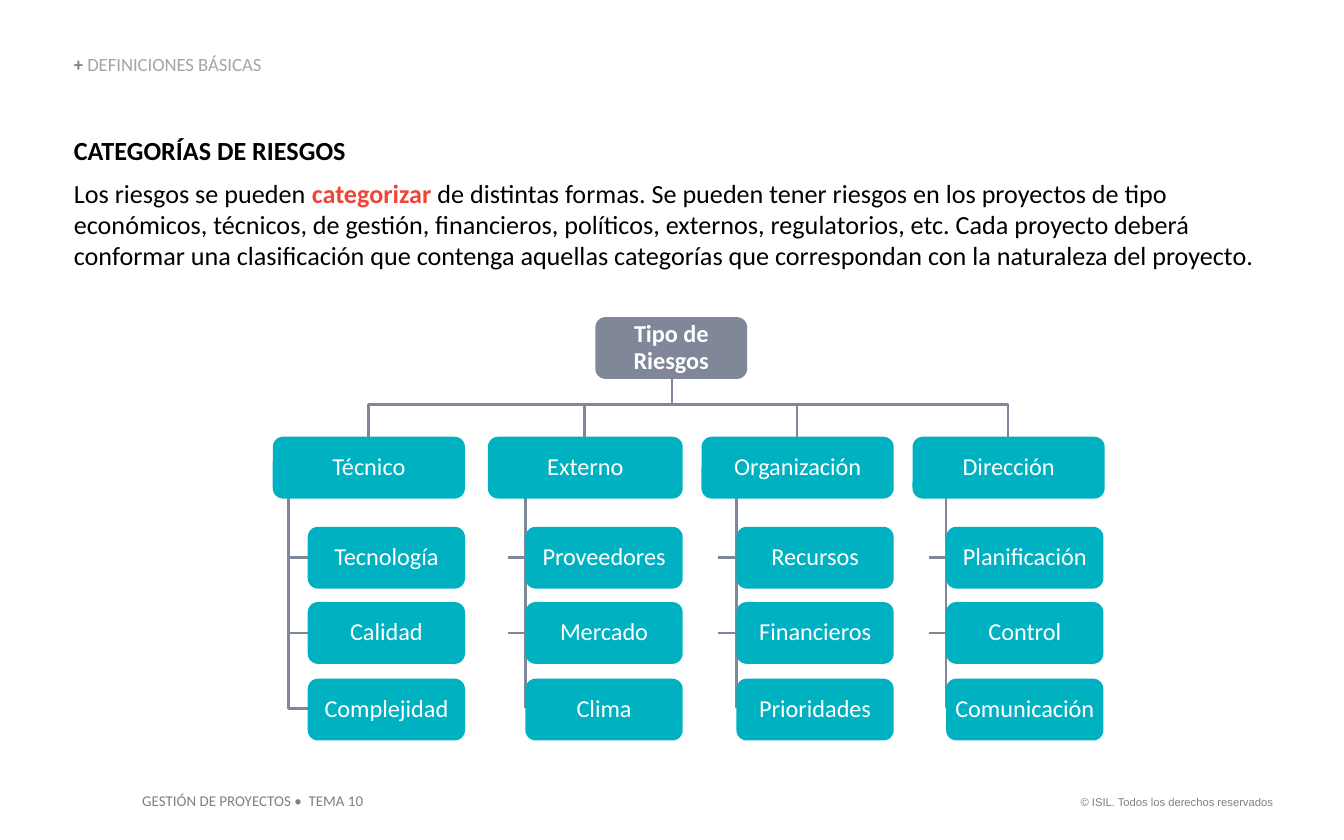
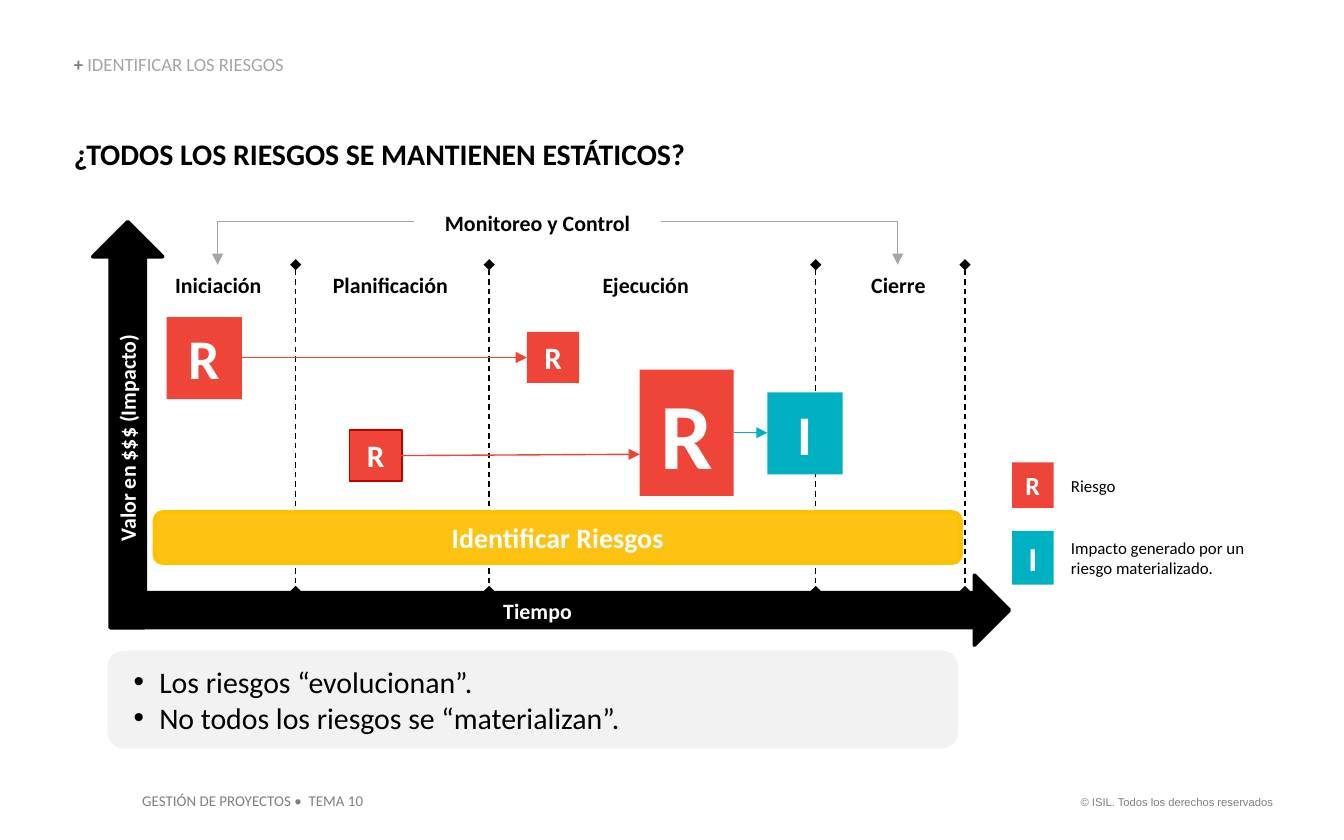
from lxml import etree
from pptx import Presentation
from pptx.dml.color import RGBColor
from pptx.enum.dml import MSO_LINE
from pptx.enum.shapes import MSO_CONNECTOR, MSO_SHAPE
from pptx.enum.text import MSO_ANCHOR, MSO_AUTO_SIZE, PP_ALIGN
from pptx.oxml.ns import qn
from pptx.util import Pt

PX = 9144  # 100 px to the inch
LEFT, CENTER, RIGHT, JUSTIFY = PP_ALIGN.LEFT, PP_ALIGN.CENTER, PP_ALIGN.RIGHT, PP_ALIGN.JUSTIFY
TOP, MIDDLE, BOTTOM = MSO_ANCHOR.TOP, MSO_ANCHOR.MIDDLE, MSO_ANCHOR.BOTTOM
RECT, ROUNDED, ARROW = MSO_SHAPE.RECTANGLE, MSO_SHAPE.ROUNDED_RECTANGLE, MSO_SHAPE.UP_ARROW
STRAIGHT, ELBOW = MSO_CONNECTOR.STRAIGHT, MSO_CONNECTOR.ELBOW
GROW, FIXED = MSO_AUTO_SIZE.SHAPE_TO_FIT_TEXT, MSO_AUTO_SIZE.NONE
DASH = MSO_LINE.DASH
COLORS = {
    "black": "000000", "white": "FFFFFF", "gray": "7F7F7F", "silver": "A5A5A5",
    "mist": "F2F2F2", "slate": "808799", "teal": "00B1C2", "red": "EF4539",
    "dark_red": "C00000", "yellow": "FEC212", "gold": "FFC000",
}


def write(slide, box, text, size=12, color="black", bold=False, font="Calibri", align=LEFT,
          anchor=TOP, margins=(10, 5, 10, 5), spacing=None, before=0, bullet=False,
          shape=None, fill=None, outline=None, outline_width=0.75, rotation=0):
    """Text is a string or a list of paragraphs, each a list of (text, color, bold)."""
    place = [n * PX for n in box]
    if shape is None:
        holder = slide.shapes.add_textbox(*place)
    else:
        holder = slide.shapes.add_shape(shape, *place)
        holder.shadow.inherit = False
        holder.fill.solid()
        holder.fill.fore_color.rgb = RGBColor.from_string(COLORS[fill])
        if outline:
            holder.line.color.rgb = RGBColor.from_string(COLORS[outline])
            holder.line.width = Pt(outline_width)
        else:
            holder.line.fill.background()
    holder.rotation = rotation
    if not text:
        return
    frame = holder.text_frame
    frame.word_wrap = True
    frame.auto_size = FIXED if shape == ROUNDED else GROW
    frame.vertical_anchor = anchor
    (frame.margin_left, frame.margin_top,
     frame.margin_right, frame.margin_bottom) = [n * PX for n in margins]
    paragraphs = [[(text, color, bold)]] if isinstance(text, str) else text
    for i, runs in enumerate(paragraphs):
        paragraph = frame.add_paragraph() if i else frame.paragraphs[0]
        if bullet:
            props = paragraph._p.get_or_add_pPr()
            props.set("marL", str(19 * PX))
            props.set("indent", str(-19 * PX))
            tint = etree.SubElement(props, qn("a:buClr"))
            etree.SubElement(tint, qn("a:srgbClr"), val=COLORS[color])
            etree.SubElement(props, qn("a:buFont"), typeface="Arial")
            etree.SubElement(props, qn("a:buChar"), char="•")
        paragraph.alignment = align
        if spacing:
            paragraph.line_spacing = spacing
        if i and before:
            paragraph.space_before = Pt(before)
        for words, run_color, run_bold in runs:
            run = paragraph.add_run()
            run.text = words
            run.font.name = font
            run.font.size = Pt(size)
            run.font.bold = run_bold
            run.font.color.rgb = RGBColor.from_string(COLORS[run_color])


def connect(slide, start, end, color, width=0.75, kind=STRAIGHT, dash=None, head=None, tail=None):
    """An elbow leaves its start horizontally and turns once."""
    link = slide.shapes.add_connector(kind, *[n * PX for n in (*start, *end)])
    link.line.color.rgb = RGBColor.from_string(COLORS[color])
    link.line.width = Pt(width)
    if dash:
        link.line.dash_style = dash
    props = link._element.spPr
    if kind == ELBOW:
        props.find(qn("a:prstGeom")).set("prst", "bentConnector2")
    for tag, tip in (("a:headEnd", head), ("a:tailEnd", tail)):
        if tip:
            etree.SubElement(props.find(qn("a:ln")), qn(tag), type=tip)
    etree.SubElement(props, qn("a:effectLst"))


deck = Presentation()
deck.slide_width, deck.slide_height = 1000 * PX, 625 * PX

# Shared section label and footers
pages = []
for section in ("DEFINICIONES BÁSICAS", "IDENTIFICAR LOS RIESGOS"):
    page = deck.slides.add_slide(deck.slide_layouts[6])
    write(page, (791, 587, 166, 20), "© ISIL. Todos los derechos reservados",
          size=6, font="Arial", color="gray", align=RIGHT)
    write(page, (96, 584, 190, 24), "GESTIÓN DE PROYECTOS •  TEMA 10", size=8, color="gray")
    write(page, (55, 41, 400, 15), [[("+ ", "gray", True), (section, "silver", False)]],
          size=10, anchor=BOTTOM, margins=(0, 0, 0, 0), spacing=0.9)
    pages.append(page)
categories, evolution = pages

# Slide 1: introduction
write(categories, (55, 100, 894, 103), [
    [("CATEGORÍAS DE RIESGOS", "black", True)],
    [("Los riesgos se pueden ", "black", False),
     ("categorizar", "red", True),
     (" de distintas formas. Se pueden tener riesgos en los proyectos de tipo económicos, "
      "técnicos, de gestión, financieros, políticos, externos, regulatorios, etc. Cada proyecto "
      "deberá conformar una clasificación que contenga aquellas categorías que correspondan "
      "con la naturaleza del proyecto.", "black", False)],
], size=14, margins=(0, 0, 0, 0), before=6)

# Slide 1: risk tree, as (category, left, width, spine x, left of risks, risks)
node = dict(size=13, color="white", align=CENTER, anchor=MIDDLE, margins=(0, 0, 0, 0),
            spacing=0.9, shape=ROUNDED)
branch = dict(color="slate", width=1.5)
NODE_HEIGHT = 46
tree = [
    ("Técnico", 203, 143, 215, 229, ("Tecnología", "Calidad", "Complejidad")),
    ("Externo", 363, 145, 378, 391, ("Proveedores", "Mercado", "Clima")),
    ("Organización", 522, 143, 534, 548, ("Recursos", "Financieros", "Prioridades")),
    ("Dirección", 679, 143, 691, 704, ("Planificación", "Control", "Comunicación")),
]
write(categories, (443, 236, 113, NODE_HEIGHT), "Tipo de Riesgos", fill="slate", bold=True, **node)
connect(categories, (500, 301), (500, 280), **branch)
for column, (category, left, width, spine, risk_left, risks) in enumerate(tree):
    middle = left + width // 2
    if column in (0, len(tree) - 1):
        connect(categories, (500, 301), (middle, 325), kind=ELBOW, **branch)
    else:
        connect(categories, (middle, 302), (middle, 326), **branch)
    # The first spine turns at its foot, the others behind their category
    if column == 0:
        connect(categories, (risk_left, 527), (spine, 360), kind=ELBOW, **branch)
    else:
        connect(categories, (spine, 360), (risk_left, 527), kind=ELBOW, **branch)
    for y in (415, 471):
        connect(categories, (spine, y), (spine + 20, y), **branch)
    write(categories, (left, 325, width, NODE_HEIGHT), category, fill="teal", **node)
    for row, risk in enumerate(risks):
        write(categories, (risk_left, 392 + 113 * row // 2, 117, NODE_HEIGHT), risk,
              fill="teal", **node)

# Slide 2: title and axes
label = dict(size=11.7, bold=True, align=CENTER)
write(evolution, (55, 101, 596, 27), "¿TODOS LOS RIESGOS SE MANTIENEN ESTÁTICOS?",
      size=16, bold=True, align=JUSTIFY, margins=(0, 0, 0, 0))
axis = dict(shape=ARROW, fill="black", outline="black", outline_width=2)
write(evolution, (69, 165, 52, 302), "", **axis)
write(evolution, (-33, 311, 256, 30), "Valor en $$$ (Impacto)", color="white", rotation=270, **label)
write(evolution, (404, 133, 52, 642), "", rotation=90, **axis)
write(evolution, (272, 440, 256, 30), "Tiempo", color="white", **label)

# Slide 2: project phases
for x in (220, 364, 607, 718):
    connect(evolution, (x, 197), (x, 440), "black", dash=DASH, head="diamond", tail="diamond")
for left, phase in ((82, "Iniciación"), (210, "Planificación"), (400, "Ejecución"), (588, "Cierre")):
    write(evolution, (left, 197, 161, 30), phase, **label)
write(evolution, (308, 151, 184, 30), "Monitoreo y Control", **label)
for start_x, end_x in ((492, 668), (308, 162)):
    connect(evolution, (start_x, 165), (end_x, 197), "silver", kind=ELBOW, tail="triangle")
write(evolution, (115, 381, 600, 38), "Identificar Riesgos", size=15, bold=True, color="white",
      align=CENTER, anchor=MIDDLE, shape=ROUNDED, fill="yellow", outline="gold", outline_width=2)

# Slide 2: risks (R), their impact (I), and the two legend keys
markers = [
    ("R", (124, 236, 56, 61), 30, None),
    ("R", (392, 247, 39, 38), 16.7, None),
    ("R", (260, 320, 39, 38), 16.7, "dark_red"),
    ("R", (476, 275, 70, 94), 50, None),
    ("I", (571, 292, 56, 61), 30, None),
    ("R", (753, 344, 31, 34), 14, None),
    ("I", (753, 395, 31, 40), 18, None),
]
for letter, box, size, outline in markers:
    write(evolution, box, letter, size=size, color="white", bold=True, align=CENTER, shape=RECT,
          fill="red" if letter == "R" else "teal", outline=outline)
for start, end, color in (((180, 266), (392, 266), "red"),
                          ((298, 339), (476, 338), "red"),
                          ((546, 322), (571, 322), "teal")):
    connect(evolution, start, end, color, tail="triangle")
write(evolution, (787, 349, 92, 25), "Riesgo", size=9)
write(evolution, (787, 395, 153, 40), "Impacto generado por un riesgo materializado.", size=9)

# Slide 2: conclusions
write(evolution, (80, 484, 633, 73), [
    [("Los riesgos “evolucionan”.", "black", False)],
    [("No todos los riesgos se “materializan”.", "black", False)],
], size=16, anchor=MIDDLE, margins=(16, 5, 10, 5), bullet=True, shape=ROUNDED, fill="mist")

deck.save("out.pptx")
